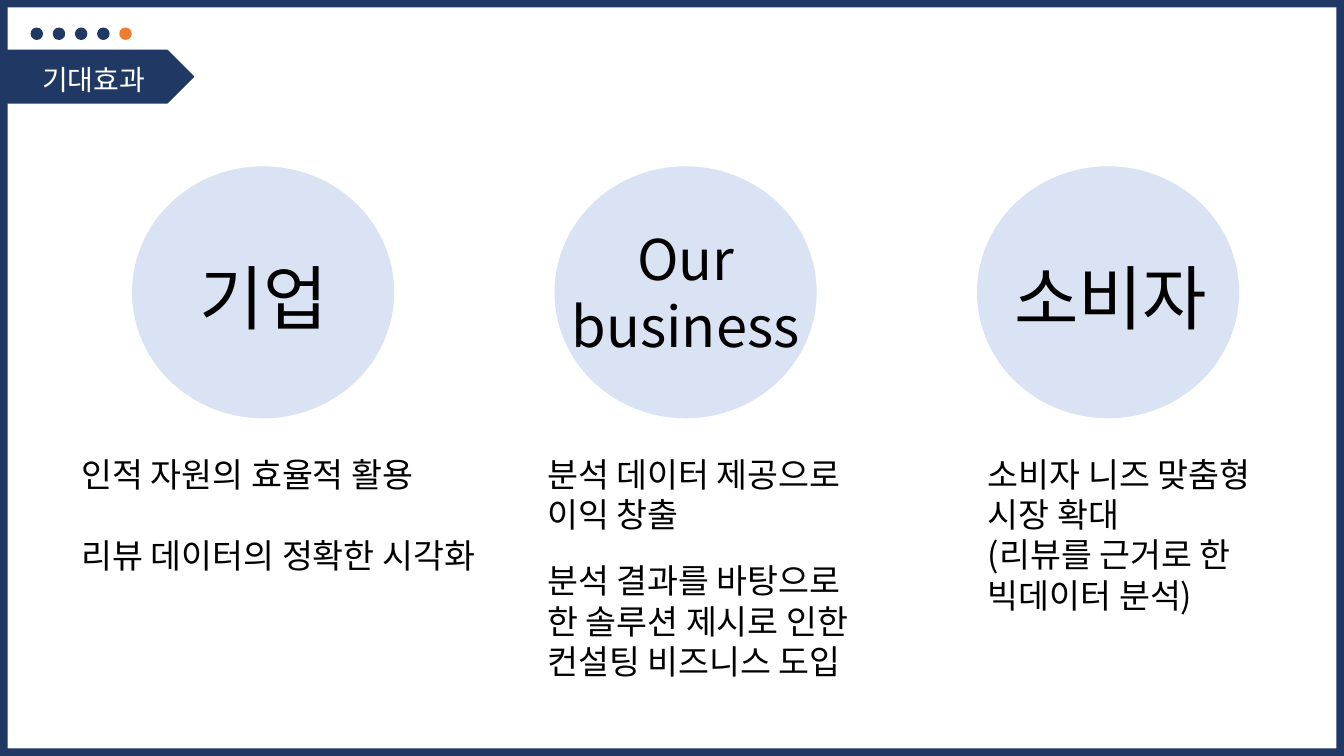
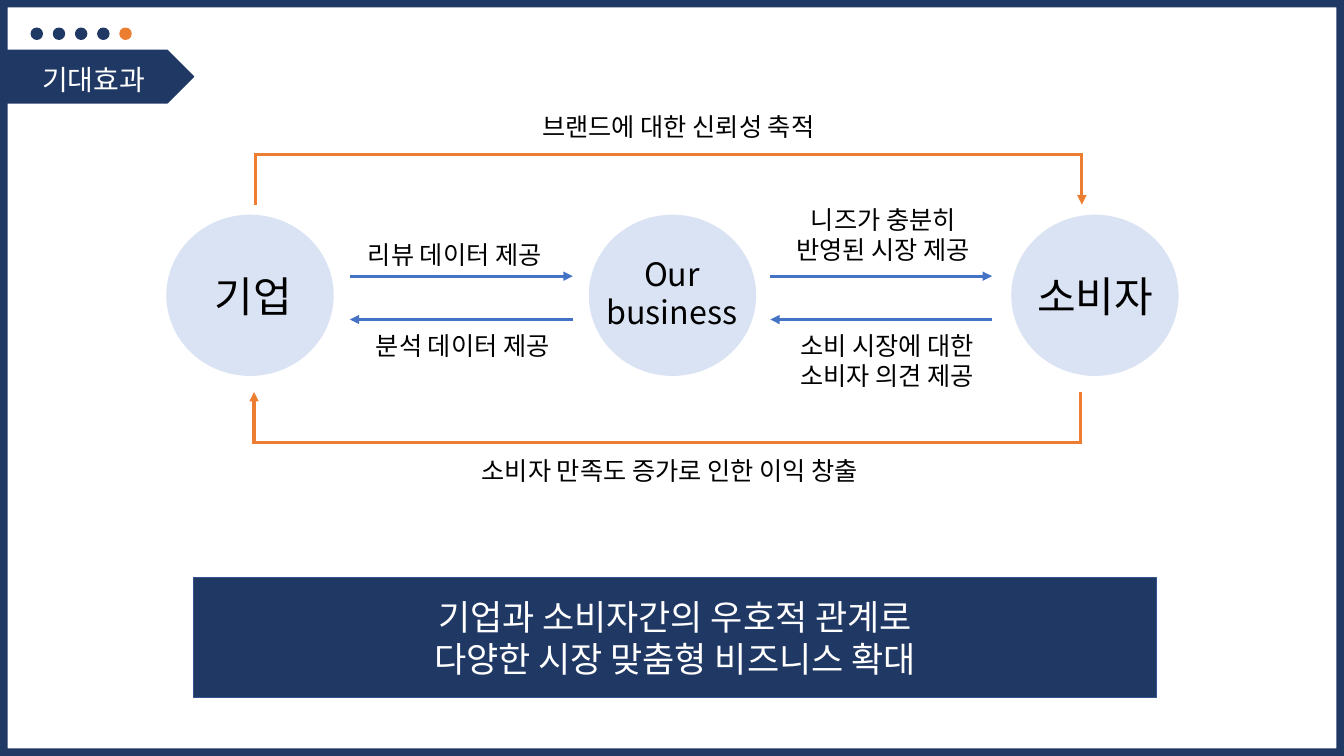
from lxml.etree import SubElement
from pptx import Presentation
from pptx.dml.color import RGBColor
from pptx.enum.shapes import MSO_CONNECTOR, MSO_SHAPE
from pptx.enum.text import MSO_ANCHOR, PP_ALIGN
from pptx.oxml.ns import qn
from pptx.util import Pt

PX = 9144  # 100 px to the inch
FONT = "Noto Sans CJK KR"
HUES = {"navy": "203864", "edge": "325491", "pale": "DAE3F3", "blue": "4472C4",
        "orange": "ED7D31", "black": "000000", "white": "FFFFFF"}
RGB = {name: RGBColor.from_string(hue) for name, hue in HUES.items()}
LEFT, MID = PP_ALIGN.LEFT, PP_ALIGN.CENTER


def put(sld, kind, box, fill, edge=None):
    """Add a flat preset shape; box is left, top, width, height in px."""
    shape = sld.shapes.add_shape(kind, *[n * PX for n in box])
    shape.shadow.inherit = False
    shape.fill.solid()
    shape.fill.fore_color.rgb = RGB[fill]
    if edge:
        shape.line.color.rgb = RGB[edge]
        shape.line.width = Pt(1)
    else:
        shape.line.fill.background()
    return shape


def write(sld, box, text, size, align=LEFT, hue="black", gap=0, shape=None):
    """Set text in the shape, or in a new text box; gap parts the paragraphs."""
    shape = shape or sld.shapes.add_textbox(*[n * PX for n in box])
    frame = shape.text_frame
    frame.word_wrap = True
    frame.text = text
    for i, para in enumerate(frame.paragraphs):
        para.alignment = align
        if i and gap:
            para.space_before = Pt(gap)
        for run in para.runs:
            run.font.size = Pt(size)
            run.font.name = FONT
            run.font.color.rgb = RGB[hue]
            SubElement(run.font._element, qn("a:ea"), typeface=FONT)
    return frame


prs = Presentation()
prs.slide_width, prs.slide_height = 1333 * PX, 750 * PX
goals, flow = [prs.slides.add_slide(prs.slide_layouts[6]) for _ in range(2)]

# Shared frame, dots and title tag
for sld in (goals, flow):
    put(sld, MSO_SHAPE.PENTAGON, (0, 50, 192, 52), "navy", "navy")
    rim = put(sld, MSO_SHAPE.FRAME, (0, 0, 1333, 750), "navy")
    rim.adjustments[0] = 0.01
    for i in range(5):
        hue = "orange" if i == 4 else "navy"
        put(sld, MSO_SHAPE.OVAL, (31 + 22 * i, 28, 11, 11), hue, hue)
    write(sld, (32, 57, 130, 44), "기대효과", 20, hue="white")

# Three circles on each slide: first left, top, width, height
for sld, (x, y, w, h) in ((goals, (131, 165, 260, 250)), (flow, (165, 213, 166, 160))):
    for i in range(3):
        put(sld, MSO_SHAPE.OVAL, (x + 419 * i, y, w, h), "pale")

# Slide 1: names and gains
for box, text, size, align in (
    ((188, 248, 151, 94), "기업", 50, LEFT),
    ((489, 218, 382, 145), "Our\nbusiness", 40, MID),
    ((996, 248, 245, 94), "소비자", 50, LEFT),
):
    write(goals, box, text, size, align)
for box, text, gap in (
    ((71, 445, 414, 131), "인적 자원의 효율적 활용\n리뷰 데이터의 정확한 시각화", 29),
    ((533, 445, 326, 91), "분석 데이터 제공으로 이익 창출", 0),
    ((533, 551, 326, 131), "분석 결과를 바탕으로 한 솔루션 제시로 인한 컨설팅 비즈니스 도입", 0),
    ((970, 445, 297, 172), "소비자 니즈 맞춤형 시장 확대\n(리뷰를 근거로 한 빅데이터 분석)", 0),
):
    write(goals, box, text, 24, gap=gap)

# Slide 2: names and arrow labels
for box, text, size, align in (
    ((203, 263, 110, 61), "기업", 30, LEFT),
    ((549, 247, 235, 91), "Our\nbusiness", 23, MID),
    ((1019, 263, 139, 61), "소비자", 30, LEFT),
    ((355, 233, 209, 40), "리뷰 데이터 제공", 18, LEFT),
    ((363, 323, 209, 40), "분석 데이터 제공", 18, LEFT),
    ((748, 198, 256, 71), "니즈가 충분히\n반영된 시장 제공", 18, MID),
    ((784, 323, 256, 71), "소비 시장에 대한\n소비자 의견 제공", 18, LEFT),
    ((468, 447, 427, 40), "소비자 만족도 증가로 인한 이익 창출", 18, LEFT),
    ((528, 106, 427, 40), "브랜드에 대한 신뢰성 축적", 18, LEFT),
):
    write(flow, box, text, size, align)

# Arrows: start, end, colour, head
for *ends, hue, head in (
    (347, 274, 568, 274, "blue", True),
    (764, 274, 984, 274, "blue", True),
    (568, 317, 347, 317, "blue", True),
    (984, 317, 764, 317, "blue", True),
    (253, 203, 253, 153, "orange", False),
    (1073, 153, 252, 153, "orange", False),
    (1073, 152, 1073, 203, "orange", True),
    (1072, 389, 1072, 439, "orange", False),
    (252, 439, 1073, 439, "orange", False),
    (252, 440, 252, 389, "orange", True),
):
    wire = flow.shapes.add_connector(MSO_CONNECTOR.STRAIGHT, *[n * PX for n in ends])
    wire.line.color.rgb = RGB[hue]
    wire.line.width = Pt(2.25)
    if head:
        SubElement(wire.line._get_or_add_ln(), qn("a:tailEnd"), type="triangle")
    SubElement(wire._element.spPr, qn("a:effectLst"))

# Closing banner
bar = put(flow, MSO_SHAPE.RECTANGLE, (192, 573, 955, 119), "navy", "edge")
note = write(flow, None, "기업과 소비자간의 우호적 관계로\n다양한 시장 맞춤형 비즈니스 확대", 25, MID, "white", shape=bar)
note.vertical_anchor = MSO_ANCHOR.MIDDLE

prs.save("out.pptx")
